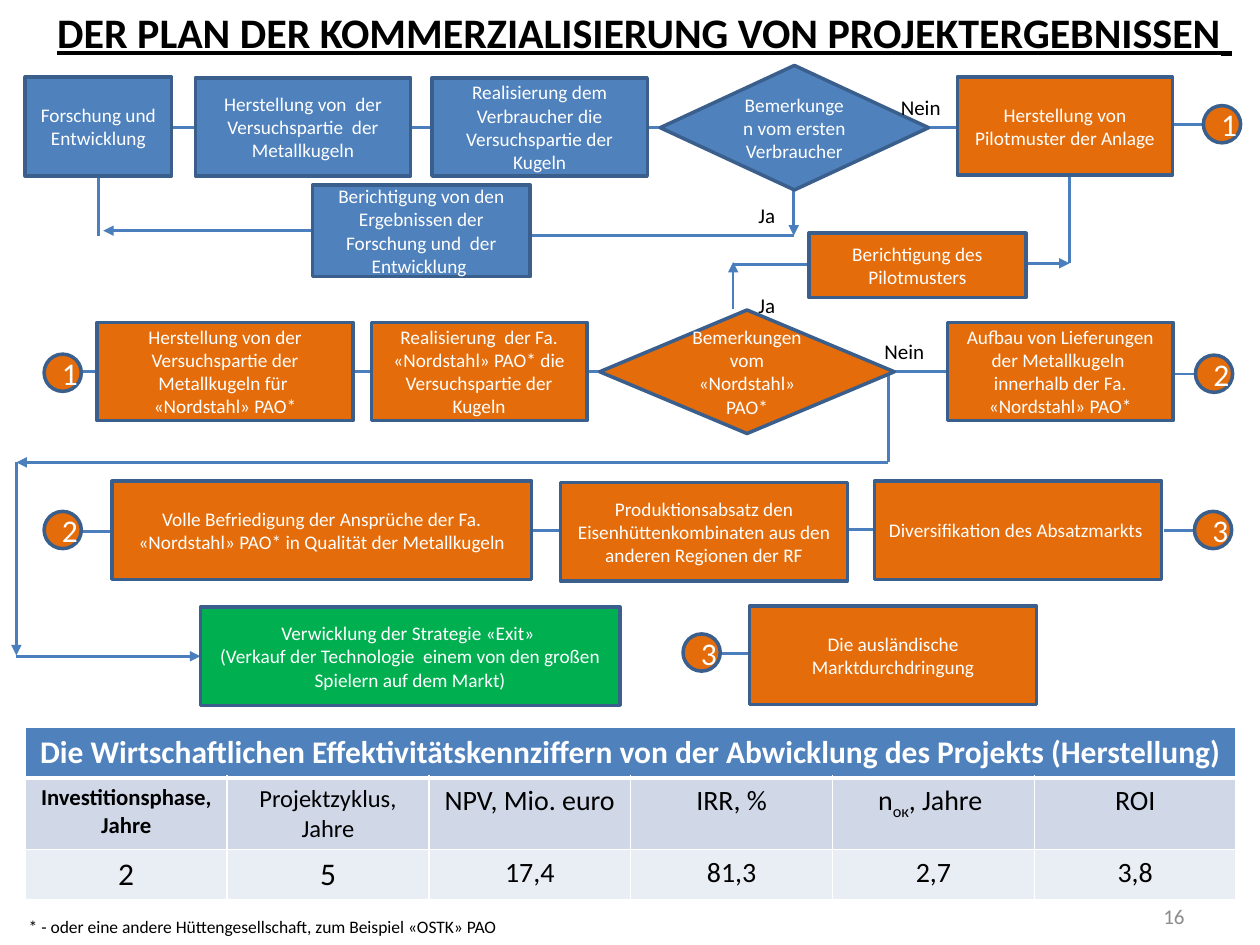
"""Build the slide with the commercialisation plan flow chart and its key figures."""
from lxml import etree
from pptx import Presentation
from pptx import util as u
from pptx.dml import color
from pptx.enum import shapes, text
from pptx.oxml import ns

BLUE, ORANGE, GREEN, EDGE, LINE = "4F81BD", "E46C0A", "00B050", "3A5F8C", "4B7EBC"
WHITE, BLACK, GREY = "FFFFFF", "000000", "8C8C8C"
RECT = shapes.MSO_SHAPE.RECTANGLE
DECISION = shapes.MSO_SHAPE.FLOWCHART_DECISION
CIRCLE = shapes.MSO_SHAPE.OVAL
LEFT, CENTER, RIGHT = text.PP_ALIGN.LEFT, text.PP_ALIGN.CENTER, text.PP_ALIGN.RIGHT


def rgb(value):
    return color.RGBColor.from_string(value)


def add_run(p, words, size, col, bold=False):
    r = p.add_run()
    r.text = words
    r.font.name = "Calibri"
    r.font.size = u.Pt(size)
    r.font.bold = bold
    r.font.color.rgb = rgb(col)
    return r


prs = Presentation()
prs.slide_width, prs.slide_height = u.Cm(25.4), u.Cm(19.05)
s = prs.slides.add_slide(prs.slide_layouts[6])

links = [
    (3.48, 2.57, 3.91, 2.57, False),
    (8.31, 2.57, 8.71, 2.57, False),
    (13.08, 2.57, 13.31, 2.57, False),
    (18.69, 2.57, 19.3, 2.57, False),
    (23.65, 2.51, 24.26, 2.51, False),
    (16, 3.84, 16, 4.75, True),
    (16, 4.75, 10.69, 4.75, False),
    (6.27, 4.65, 2.08, 4.65, True),
    (1.98, 4.75, 1.98, 3.58, False),
    (21.56, 3.56, 21.56, 5.31, False),
    (20.65, 5.31, 21.56, 5.31, True),
    (16.31, 5.33, 14.78, 5.33, False),
    (14.78, 6.22, 14.78, 5.28, True),
    (1.65, 7.49, 2.26, 7.49, False),
    (7.11, 7.49, 7.52, 7.49, False),
    (11.86, 7.49, 12.09, 7.49, False),
    (18.01, 7.49, 19.3, 7.49, False),
    (23.5, 7.54, 24.1, 7.54, False),
    (17.91, 7.49, 17.91, 9.32, False),
    (17.91, 9.32, 0.33, 9.32, True),
    (0.33, 9.32, 0.33, 13.21, True),
    (0.33, 13.23, 4.04, 13.23, True),
    (1.65, 10.72, 2.26, 10.72, False),
    (10.69, 10.69, 11.3, 10.69, False),
    (17.07, 10.67, 17.68, 10.67, False),
    (23.47, 10.69, 24.08, 10.69, False),
    (14.53, 13.18, 15.11, 13.18, False),
]
for x1, y1, x2, y2, arrow in links:
    sp = s.shapes.add_connector(shapes.MSO_CONNECTOR.STRAIGHT, u.Cm(x1), u.Cm(y1), u.Cm(x2), u.Cm(y2))
    sp.line.color.rgb = rgb(LINE)
    sp.line.width = u.Pt(1.5)
    if arrow:
        etree.SubElement(sp.line._get_or_add_ln(), ns.qn("a:tailEnd"), type="triangle")
    etree.SubElement(sp._element.spPr, ns.qn("a:effectLst"))

steps = [
    (RECT, 0.51, 1.55, 2.95, 2, BLUE, ["Forschung und Entwicklung"]),
    (RECT, 3.94, 1.57, 4.34, 1.98, BLUE, ["Herstellung von  der Versuchspartie  der Metallkugeln"]),
    (RECT, 8.71, 1.57, 4.34, 1.98, BLUE, ["Realisierung dem Verbraucher die Versuchspartie der Kugeln"]),
    (DECISION, 13.31, 1.32, 5.41, 2.51, BLUE, ["Bemerkungen vom ersten Verbraucher"]),
    (RECT, 6.3, 3.73, 4.39, 1.85, BLUE,
     ["Berichtigung von den Ergebnissen der Forschung und  der Entwicklung "]),
    (RECT, 19.3, 1.55, 4.34, 1.98, ORANGE, ["Herstellung von Pilotmuster der Anlage"]),
    (RECT, 1.96, 6.5, 5.16, 1.98, ORANGE,
     ["Herstellung von der Versuchspartie der Metallkugeln für  «Nordstahl» PAO*"]),
    (RECT, 7.49, 6.5, 4.34, 1.98, ORANGE,
     ["Realisierung  der Fa. «Nordstahl» PAO* die Versuchspartie der Kugeln"]),
    (DECISION, 12.09, 6.25, 5.94, 2.49, ORANGE, ["Bemerkungen vom «Nordstahl» PAO*"]),
    (RECT, 16.31, 4.7, 4.37, 1.3, ORANGE, ["Berichtigung des Pilotmusters"]),
    (RECT, 19.1, 6.5, 4.55, 1.98, ORANGE,
     ["Aufbau von Lieferungen der Metallkugeln  innerhalb der Fa. «Nordstahl» PAO*"]),
    (RECT, 2.26, 9.7, 8.46, 1.98, ORANGE,
     ["Volle Befriedigung der Ansprüche der Fa. «Nordstahl» PAO* in Qualität der Metallkugeln"]),
    (RECT, 11.3, 9.73, 5.79, 1.98, ORANGE,
     ["Produktionsabsatz den Eisenhüttenkombinaten aus den anderen Regionen der RF"]),
    (RECT, 17.63, 9.7, 5.79, 1.98, ORANGE, ["Diversifikation des Absatzmarkts "]),
    (RECT, 15.11, 12.22, 5.79, 1.98, ORANGE, ["Die ausländische Marktdurchdringung"]),
    (RECT, 4.04, 12.24, 8.46, 1.98, GREEN,
     ["Verwicklung der Strategie «Exit» ",
      "(Verkauf der Technologie  einem von den großen Spielern auf dem Markt)"]),
]
marks = [("1", 24.26, 2.13), ("1", 0.89, 7.14), ("2", 24.1, 7.16),
         ("2", 0.89, 10.31), ("3", 24.08, 10.31), ("3", 13.77, 12.78)]
steps += [(CIRCLE, x, y, 0.75, 0.75, ORANGE, [mark]) for mark, x, y in marks]
for kind, x, y, w, h, fill, lines in steps:
    sp = s.shapes.add_shape(kind, u.Cm(x), u.Cm(y), u.Cm(w), u.Cm(h))
    sp.shadow.inherit = False
    sp.fill.solid()
    sp.fill.fore_color.rgb = rgb(fill)
    sp.line.color.rgb = rgb(EDGE)
    sp.line.width = u.Pt(2)
    tf = sp.text_frame
    tf.word_wrap = True
    tf.vertical_anchor = text.MSO_ANCHOR.MIDDLE
    for i, words in enumerate(lines):
        p = tf.add_paragraph() if i else tf.paragraphs[0]
        p.alignment = CENTER
        add_run(p, words, 18 if kind == CIRCLE else 11, WHITE)

labels = [
    ("DER PLAN DER KOMMERZIALISIERUNG VON PROJEKTERGEBNISSEN", 0.89, -0.13, 24.21, 1.45, 24, BLACK, CENTER),
    ("Ja", 15.04, 3.96, 0.86, 0.76, 12, BLACK, LEFT),
    ("Nein", 17.91, 1.78, 1.73, 0.76, 12, BLACK, LEFT),
    ("Ja", 15.04, 5.77, 0.86, 0.76, 12, BLACK, LEFT),
    ("Nein", 17.58, 6.71, 1.32, 0.76, 12, BLACK, LEFT),
    ("* - oder eine andere Hüttengesellschaft, zum Beispiel «OSTK» PAO", 0.33, 18.34, 24.31, 0.69, 10, BLACK, LEFT),
    ("16", 18.21, 17.81, 5.92, 1.32, 12, GREY, RIGHT),
]
for words, x, y, w, h, size, col, align in labels:
    tf = s.shapes.add_textbox(u.Cm(x), u.Cm(y), u.Cm(w), u.Cm(h)).text_frame
    tf.word_wrap = w > 1.5
    p = tf.paragraphs[0]
    p.alignment = align
    r = add_run(p, words, size, col, bold=size == 24)
    if size == 24:
        r.font.underline = True
        add_run(p, " ", 28, col, bold=True).font.underline = True
    if align == RIGHT:
        tf.vertical_anchor = text.MSO_ANCHOR.MIDDLE

rows = [
    (1.02, BLUE, WHITE,
     [("Die Wirtschaftlichen Effektivitätskennziffern von der Abwicklung des Projekts (Herstellung)", 18)]),
    (1.44, "D0D8E8", BLACK,
     [("Investitionsphase, Jahre", 13), ("Projektzyklus, Jahre", 14), ("NPV, Mio. euro", 16),
      ("IRR, %", 16), ("n|ок|, Jahre ", 16), ("ROI", 16)]),
    (1.02, "E9EDF4", BLACK,
     [("2", 18), ("5", 18), ("17,4", 16), ("81,3", 16), ("2,7", 16), ("3,8", 16)]),
]
table = s.shapes.add_table(3, 6, u.Cm(0.51), u.Cm(14.66), u.Cm(24.41), u.Cm(3.48)).table
table.cell(0, 0).merge(table.cell(0, 5))
for i, (height, fill, col, cells) in enumerate(rows):
    table.rows[i].height = u.Cm(height)
    for j in range(6):
        cell = table.cell(i, j)
        for side in "LRTB":
            thick = (i, side) in [(0, "B"), (1, "T")]
            ln = etree.SubElement(cell._tc.get_or_add_tcPr(), ns.qn("a:ln" + side), w=str(u.Pt(3 if thick else 1)))
            etree.SubElement(etree.SubElement(ln, ns.qn("a:solidFill")), ns.qn("a:srgbClr"), val=WHITE)
        cell.fill.solid()
        cell.fill.fore_color.rgb = rgb(fill)
    for j, (words, size) in enumerate(cells):
        p = table.cell(i, j).text_frame.paragraphs[0]
        p.alignment = CENTER
        for k, part in enumerate(words.split("|")):
            r = add_run(p, part, size, col, bold=i < 2 and j == 0)
            if k == 1:
                r._r.get_or_add_rPr().set("baseline", "-25000")

prs.save("out.pptx")
